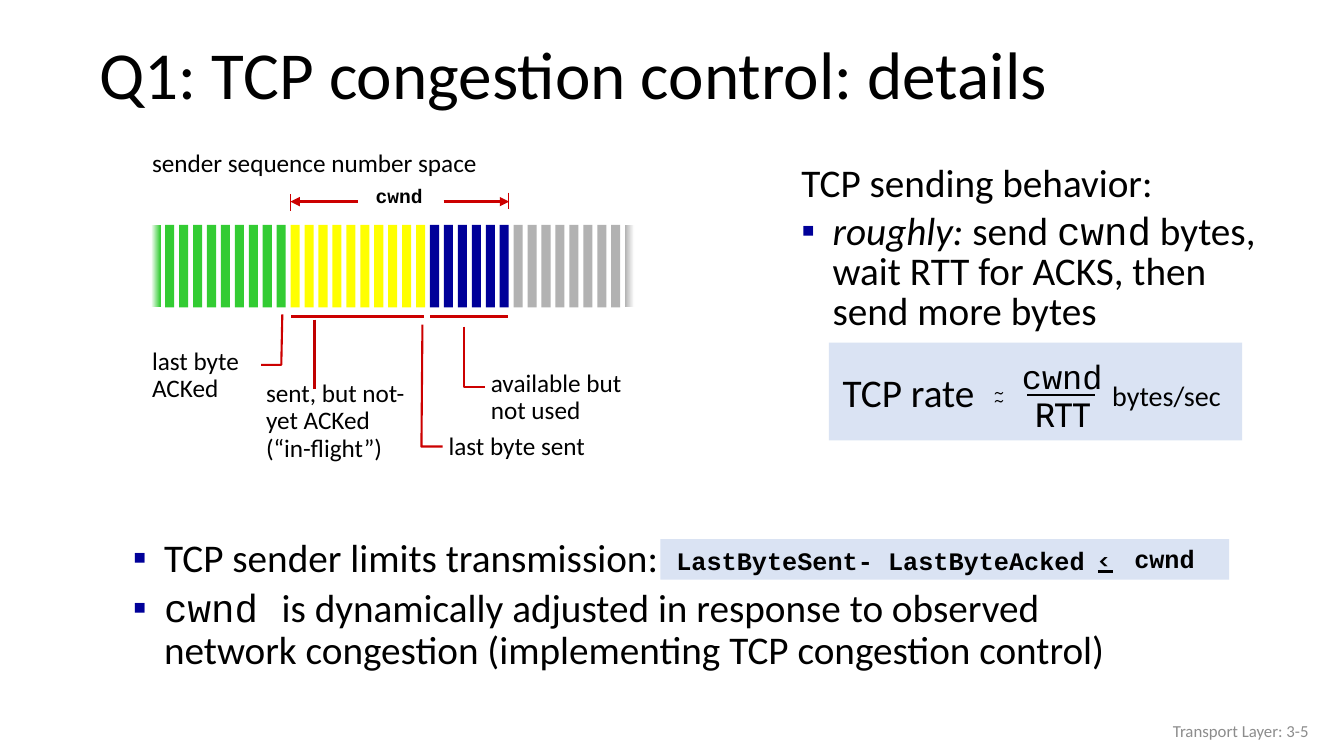
"""Builds the slide on TCP congestion control details."""
from lxml.etree import SubElement
from pptx import Presentation
from pptx.dml.color import RGBColor
from pptx.enum.shapes import MSO_CONNECTOR, MSO_SHAPE
from pptx.enum.text import MSO_ANCHOR, PP_ALIGN
from pptx.oxml.ns import qn
from pptx.util import Inches, Pt

COLORS = {"text": "000000", "panel": "DAE3F3", "bullet": "000099", "red": "CC0000",
          "dark red": "C00000", "acked": "33CC33", "in flight": "FFFF00",
          "available": "000099", "unusable": "B2B2B2", "white": "FFFFFF",
          "footer": "8C8C8C"}
BODY, MONO, SANS = "Calibri", "Courier New", "Cabin"
LEFT, CENTER, RIGHT = PP_ALIGN.LEFT, PP_ALIGN.CENTER, PP_ALIGN.RIGHT

TITLE = ("Q1: TCP congestion control: details", (0.89, 0.28, 12.44, 0.98))
FOOTER = ("Transport Layer: 3-5", (10.08, 7.05, 3, 0.4))

SEGMENTS = [("acked", 10), ("in flight", 10), ("available", 6), ("unusable", 9)]
FIRST_BAR, LAST_BAR, BAR_TOP, BAR_WIDTH, BAR_HEIGHT = 1.5, 6.2, 2.23, 0.09, 0.82

PANELS = [(6.55, 5.35, 5.64, 0.4), (8.22, 3.4, 4.1, 0.97)]

# (box, line spacing, [(bulleted, [(text, font, italic)])])
BULLET_BOXES = [
    ((1.22, 5.29, 10.53, 1.85), 0.9, [
        (True, [("TCP sender limits transmission:", BODY, False)]),
        (True, [("cwnd ", MONO, False),
                ("is dynamically adjusted in response to observed network congestion "
                 "(implementing TCP congestion control)", BODY, False)])]),
    ((7.85, 1.59, 5.02, 1.8), 0.85, [
        (False, [("TCP sending behavior:", BODY, False)]),
        (True, [("roughly:", BODY, True), (" send ", BODY, False), ("cwnd", MONO, False),
                (" bytes, wait RTT for ACKS, then send more bytes", BODY, False)])]),
]

# (lines, box, size, font, bold, align, line spacing, wrap)
LABELS = [
    (["sender sequence number space"], (1.41, 1.41, 3.52, 0.4), 18, BODY, False, LEFT, 1, False),
    (["cwnd"], (3.52, 1.8, 0.88, 0.38), 14, MONO, True, CENTER, 0.9, False),
    (["last byte", "ACKed"], (1.41, 3.41, 1.08, 0.65), 18, BODY, False, LEFT, 0.9, False),
    (["sent, but not-yet ACKed", "(“in-flight”)"], (2.54, 3.73, 1.82, 0.92),
     18, BODY, False, LEFT, 0.9, True),
    (["last byte sent"], (4.35, 4.25, 1.75, 0.37), 18, BODY, False, LEFT, 0.9, True),
    (["available but not used"], (4.77, 3.63, 1.75, 0.65), 18, BODY, False, LEFT, 0.9, True),
    (["LastByteSent- LastByteAcked"], (6.61, 5.41, 4.81, 0.37), 18, MONO, True, LEFT, 0.85, True),
    (["<"], (10.76, 5.37, 0.38, 0.37), 16, SANS, True, CENTER, 1, False),
    (["cwnd"], (11.15, 5.34, 0.8, 0.4), 18, MONO, True, CENTER, 1, False),
    (["TCP rate"], (8.25, 3.6, 1.52, 0.57), 28, BODY, False, CENTER, 1, False),
    (["~"], (9.4, 3.66, 1.02, 0.4), 18, SANS, False, CENTER, 1, True),
    (["~"], (9.4, 3.74, 1.02, 0.4), 18, SANS, False, CENTER, 1, True),
    (["cwnd"], (10.03, 3.48, 1.01, 0.51), 24, MONO, False, CENTER, 1, False),
    (["RTT"], (10.14, 3.86, 0.8, 0.51), 24, SANS, False, CENTER, 1, False),
    (["bytes/sec"], (10.92, 3.71, 1.3, 0.44), 20, BODY, False, CENTER, 1, False),
]

# (from, to, color, width, arrow)
LINES = [
    ((4.4, 2), (5.05, 2), "red", 2.25, True),
    ((5.04, 1.91), (5.04, 2.07), "red", 0.75, False),
    ((3.55, 2), (2.88, 2), "red", 2.25, True),
    ((2.88, 2.09), (2.88, 1.92), "red", 0.75, False),
    ((4.27, 3.14), (5.04, 3.14), "red", 2.25, False),
    ((2.89, 3.14), (4.21, 3.14), "red", 2.25, False),
    ((3.12, 3.17), (3.12, 3.86), "dark red", 1.5, False),
    ((10.89, 5.67), (11.04, 5.67), "text", 1.5, False),
    ((10.19, 3.92), (10.86, 3.92), "text", 1.5, False),
]

ELBOWS = [
    [(2.8, 3.12), (2.79, 3.62), (2.59, 3.62)],
    [(4.19, 3.22), (4.18, 4.43), (4.39, 4.43)],
    [(4.6, 3.24), (4.6, 3.84), (4.81, 3.84)],
]


def rgb(name):
    return RGBColor.from_string(COLORS[name])


def add_frame(slide, box, wrap=True, anchor=MSO_ANCHOR.TOP):
    frame = slide.shapes.add_textbox(*map(Inches, box)).text_frame
    frame.word_wrap = wrap
    frame.vertical_anchor = anchor
    return frame


def next_paragraph(frame, index):
    return frame.add_paragraph() if index else frame.paragraphs[0]


def add_run(paragraph, text, size, font, color="text", bold=False, italic=False):
    run = paragraph.add_run()
    run.text = text
    run.font.size, run.font.name = Pt(size), font
    run.font.bold, run.font.italic = bold, italic
    run.font.color.rgb = rgb(color)


def add_label(slide, lines, box, size, font, bold, align, spacing, wrap,
              color="text", anchor=MSO_ANCHOR.TOP):
    frame = add_frame(slide, box, wrap, anchor)
    for index, line in enumerate(lines):
        paragraph = next_paragraph(frame, index)
        paragraph.alignment, paragraph.line_spacing = align, spacing
        add_run(paragraph, line, size, font, color, bold)


def add_bullet(paragraph):
    properties = paragraph._p.get_or_add_pPr()
    properties.set("marL", str(Inches(0.31)))
    properties.set("indent", str(-Inches(0.31)))
    color = SubElement(properties, qn("a:buClr"))
    SubElement(color, qn("a:srgbClr"), val=COLORS["bullet"])
    SubElement(properties, qn("a:buFont"), typeface="Arial")
    SubElement(properties, qn("a:buChar"), char="▪")


def add_bullet_box(slide, box, spacing, items):
    frame = add_frame(slide, box)
    for index, (bulleted, runs) in enumerate(items):
        paragraph = next_paragraph(frame, index)
        if bulleted:
            add_bullet(paragraph)
        paragraph.line_spacing = spacing
        if index:
            paragraph.space_before = Pt(5.6)
        for text, font, italic in runs:
            add_run(paragraph, text, 28, font, italic=italic)


def add_block(slide, box, color):
    block = slide.shapes.add_shape(MSO_SHAPE.RECTANGLE, *map(Inches, box))
    block.shadow.inherit = False
    block.fill.solid()
    block.fill.fore_color.rgb = rgb(color)
    block.line.fill.background()
    return block


def fade(bar, start, end):
    bar.fill.gradient()
    bar.fill.gradient_angle = 0
    for stop, color in zip(bar.fill.gradient_stops, (start, end)):
        stop.color.rgb = rgb(color)


def add_sequence_space(slide):
    kinds = [kind for kind, count in SEGMENTS for _ in range(count)]
    pitch = (LAST_BAR - FIRST_BAR) / (len(kinds) - 1)
    bars = [add_block(slide, (FIRST_BAR + i * pitch, BAR_TOP, BAR_WIDTH, BAR_HEIGHT), kind)
            for i, kind in enumerate(kinds)]
    fade(bars[0], "white", kinds[0])
    fade(bars[-1], kinds[-1], "white")


def add_line(slide, start, end, color, width, arrow):
    line = slide.shapes.add_connector(MSO_CONNECTOR.STRAIGHT, *map(Inches, start + end))
    line.line.color.rgb = rgb(color)
    line.line.width = Pt(width)
    if arrow:
        SubElement(line.line._get_or_add_ln(), qn("a:tailEnd"), type="triangle")
    SubElement(line._element.spPr, qn("a:effectLst"))


def add_elbow(slide, points):
    start, *rest = [(Inches(x), Inches(y)) for x, y in points]
    builder = slide.shapes.build_freeform(*start)
    builder.add_line_segments(rest, close=False)
    elbow = builder.convert_to_shape()
    elbow.shadow.inherit = False
    elbow.fill.background()
    elbow.line.color.rgb = rgb("red")
    elbow.line.width = Pt(1.5)


def main():
    deck = Presentation()
    deck.slide_width, deck.slide_height = Inches(13.33), Inches(7.5)
    slide = deck.slides.add_slide(deck.slide_layouts[6])
    title, title_box = TITLE
    add_label(slide, [title], title_box, 48, BODY, False, LEFT, 0.9, True,
              anchor=MSO_ANCHOR.MIDDLE)
    for panel in PANELS:
        add_block(slide, panel, "panel")
    add_sequence_space(slide)
    for bullet_box in BULLET_BOXES:
        add_bullet_box(slide, *bullet_box)
    for label in LABELS:
        add_label(slide, *label)
    for line in LINES:
        add_line(slide, *line)
    for elbow in ELBOWS:
        add_elbow(slide, elbow)
    footer, footer_box = FOOTER
    add_label(slide, [footer], footer_box, 12, BODY, False, RIGHT, 1, True,
              "footer", MSO_ANCHOR.MIDDLE)
    deck.save("out.pptx")


if __name__ == "__main__":
    main()
